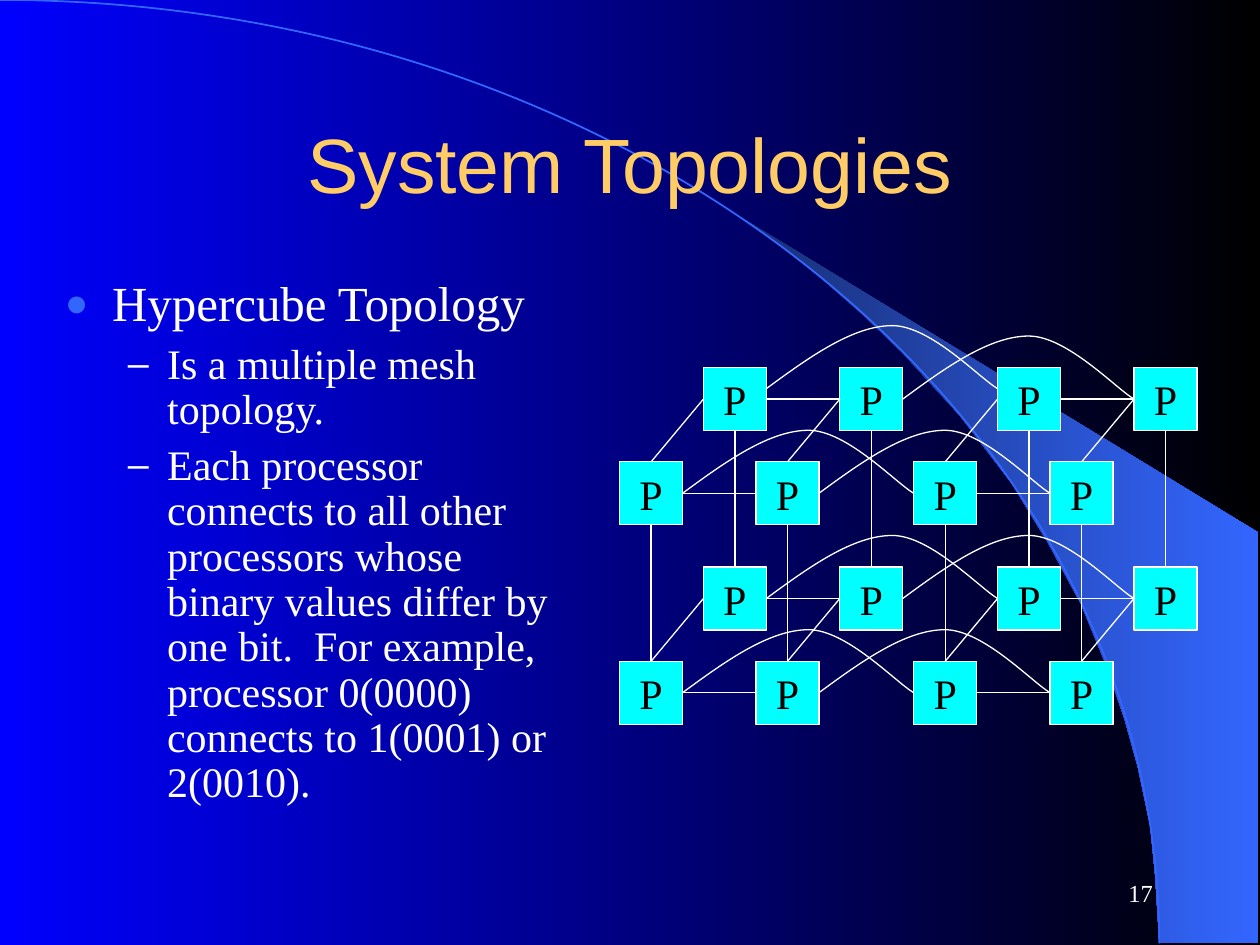
"""Build the hypercube topology slide."""
from dataclasses import dataclass
from itertools import product

import lxml.etree
import pptx
import pptx.dml.color
import pptx.enum.shapes
import pptx.enum.text
import pptx.oxml
import pptx.oxml.ns
import pptx.util
from pptx.util import Cm

RGB = pptx.dml.color.RGBColor.from_string
ALIGN = pptx.enum.text.PP_ALIGN
MIDDLE = pptx.enum.text.MSO_ANCHOR.MIDDLE
QN = pptx.oxml.ns.qn


@dataclass(frozen=True)
class Theme:
    blue: str = "0000FF"
    black: str = "000000"
    white: str = "FFFFFF"
    gold: str = "FFCC66"
    cyan: str = "00FFFF"
    accent: str = "3366FF"
    navy: str = "182F76"
    heading: str = "Arial"
    serif: str = "Times New Roman"
    title_size: int = 44
    topic_size: int = 28
    text_size: int = 24
    number_size: int = 14
    thin: float = 0.75


theme = Theme()


def style(paragraph, face, size, color, align):
    paragraph.alignment = align
    paragraph.font.name = face
    paragraph.font.size = pptx.util.Pt(size)
    paragraph.font.color.rgb = RGB(color)


def draw_curve(start, controls, color, width):
    builder = page.shapes.build_freeform(Cm(start[0]), Cm(start[1]))
    builder.add_line_segments([(Cm(x), Cm(y)) for x, y in controls], close=False)
    curve = builder.convert_to_shape()
    segments = list(curve.element.iter(QN("a:lnTo")))
    outline = segments[0].getparent()
    for first in range(0, len(segments), 3):
        bezier = lxml.etree.SubElement(outline, QN("a:cubicBezTo"))
        for segment in segments[first:first + 3]:
            bezier.append(segment[0])
            outline.remove(segment)
    curve.shadow.inherit = False
    curve.fill.background()
    curve.line.color.rgb = RGB(color)
    curve.line.width = pptx.util.Pt(width)


deck = pptx.Presentation()
deck.slide_width, deck.slide_height = Cm(25.4), Cm(19.05)
page = deck.slides.add_slide(deck.slide_layouts[5])

wedge_points = [
    (23.37, 19), (25.37, 19.02), (25.37, 10.74), (14.96, 4.39), (15.85, 5.05),
    (16.59, 5.64), (17.4, 6.35), (18.19, 7.11), (19.35, 8.38), (20.4, 9.75),
    (21.13, 10.95), (21.79, 12.17), (22.3, 13.41), (22.68, 14.53),
    (22.94, 15.47), (23.19, 16.66), (23.29, 17.68),
]
builder = page.shapes.build_freeform(Cm(wedge_points[0][0]), Cm(wedge_points[0][1]))
builder.add_line_segments([(Cm(x), Cm(y)) for x, y in wedge_points[1:]])
wedge = builder.convert_to_shape()
wedge.shadow.inherit = False
wedge.line.fill.background()

for fill, colors in ((page.background.fill, (theme.blue, theme.black)),
                     (wedge.fill, (theme.navy, theme.accent))):
    fill.gradient()
    fill.gradient_angle = 0
    for stop, color, position in zip(fill.gradient_stops, colors, (0, 1)):
        stop.color.rgb = RGB(color)
        stop.position = position

draw_curve((0, 0), [(12.9, 0), (23.37, 8.51), (23.37, 19.02)], theme.accent, 1)

title = page.shapes.title
title.element.getparent().append(title.element)
title.left, title.top, title.width, title.height = Cm(1.9), Cm(1.69), Cm(21.6), Cm(3.17)
title.text_frame.text = "System Topologies"
title.text_frame.vertical_anchor = MIDDLE
style(title.text_frame.paragraphs[0], theme.heading, theme.title_size, theme.gold, ALIGN.CENTER)

number = page.shapes.add_textbox(Cm(18.2), Cm(17.36), Cm(5.29), Cm(1.27))
number.text_frame.word_wrap = True
number.text_frame.vertical_anchor = MIDDLE
number.text_frame.text = "17"
style(number.text_frame.paragraphs[0], theme.serif, theme.number_size, theme.white, ALIGN.RIGHT)

body = page.shapes.add_textbox(Cm(1.06), Cm(5.51), Cm(10.6), Cm(11.43))
body.text_frame.word_wrap = True
topic = (theme.topic_size, "●", theme.accent, 80, 0.95, 0.95)
detail = (theme.text_size, "–", theme.white, 90, 2.06, 0.79)
lines = [
    ("Hypercube Topology", topic),
    ("Is a multiple mesh topology.", detail),
    ("Each processor connects to all other processors whose binary values differ "
     "by one bit.  For example, processor 0(0000) connects to 1(0001) or 2(0010).", detail),
]
for index, (text, (size, mark, mark_color, percent, margin, hanging)) in enumerate(lines):
    para = body.text_frame.add_paragraph() if index else body.text_frame.paragraphs[0]
    para.text = text
    properties = para._p.get_or_add_pPr()
    properties.set("marL", str(Cm(margin)))
    properties.set("indent", str(-Cm(hanging)))
    namespace = pptx.oxml.ns.nsdecls("a")
    for bullet in (
        f'<a:buClr {namespace}><a:srgbClr val="{mark_color}"/></a:buClr>',
        f'<a:buSzPct {namespace} val="{percent * 1000}"/>',
        f'<a:buFont {namespace} typeface="{theme.heading}"/>',
        f'<a:buChar {namespace} char="{mark}"/>',
    ):
        properties.append(pptx.oxml.parse_xml(bullet))
    para.line_spacing = 0.9
    if index:
        para.level = 1
        para.space_before = pptx.util.Pt(6)
    style(para, theme.serif, size, theme.white, ALIGN.LEFT)

node_size = 1.27
columns = (14.18, 16.93, 20.11, 22.86)
rows = (7.41, 11.43)
front_shift = (-1.69, 1.9)
nodes, corners = {}, {}
for depth, row, column in product(range(2), range(2), range(4)):
    key = depth, row, column
    left = columns[column] + depth * front_shift[0]
    top = rows[row] + depth * front_shift[1]
    node = page.shapes.add_shape(pptx.enum.shapes.MSO_SHAPE.RECTANGLE,
                                 Cm(left), Cm(top), Cm(node_size), Cm(node_size))
    node.shadow.inherit = False
    node.fill.solid()
    node.fill.fore_color.rgb = RGB(theme.cyan)
    node.line.color.rgb = RGB(theme.white)
    node.line.width = pptx.util.Pt(theme.thin)
    node.text_frame.word_wrap = False
    node.text_frame.vertical_anchor = MIDDLE
    node.text_frame.text = "P"
    style(node.text_frame.paragraphs[0], theme.serif, theme.text_size, theme.black, ALIGN.CENTER)
    nodes[key], corners[key] = node, (left, top)

links = []
for depth, row, column in nodes:
    if column % 2 == 0:
        links.append(((depth, row, column), 3, (depth, row, column + 1), 1))
    if row == 0:
        links.append(((depth, 0, column), 2, (depth, 1, column), 0))
    if depth == 0:
        links.append(((0, row, column), 1, (1, row, column), 0))
for start, start_side, end, end_side in links:
    link = page.shapes.add_connector(pptx.enum.shapes.MSO_CONNECTOR.STRAIGHT, 0, 0, 0, 0)
    link.begin_connect(nodes[start], start_side)
    link.end_connect(nodes[end], end_side)
    link.line.color.rgb = RGB(theme.white)
    link.line.width = pptx.util.Pt(theme.thin)
    lxml.etree.SubElement(link._element.spPr, QN("a:effectLst"))

arc = [(0.87, -0.64), (1.75, -1.27), (2.54, -1.27),
       (3.31, -1.27), (4.3, -0.21), (4.66, 0)]
for key, (left, top) in corners.items():
    if key[2] < 2:
        lift = 0.21 if key == (0, 0, 0) else 0
        x, y = left + node_size, top + node_size / 2 - lift
        controls = [(x + across, y + down) for across, down in arc]
        draw_curve((x, y), controls, theme.white, theme.thin)

deck.save("out.pptx")
